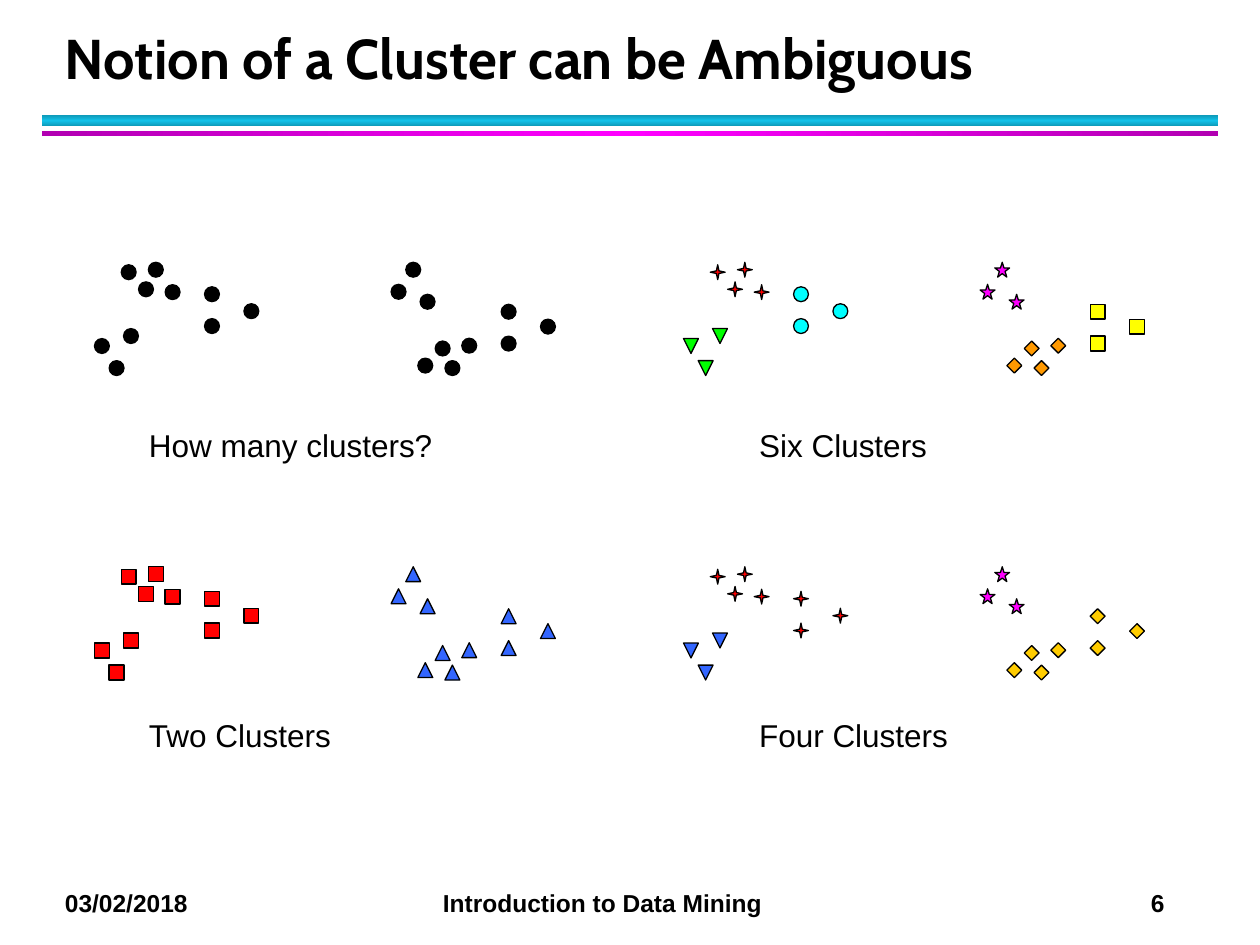
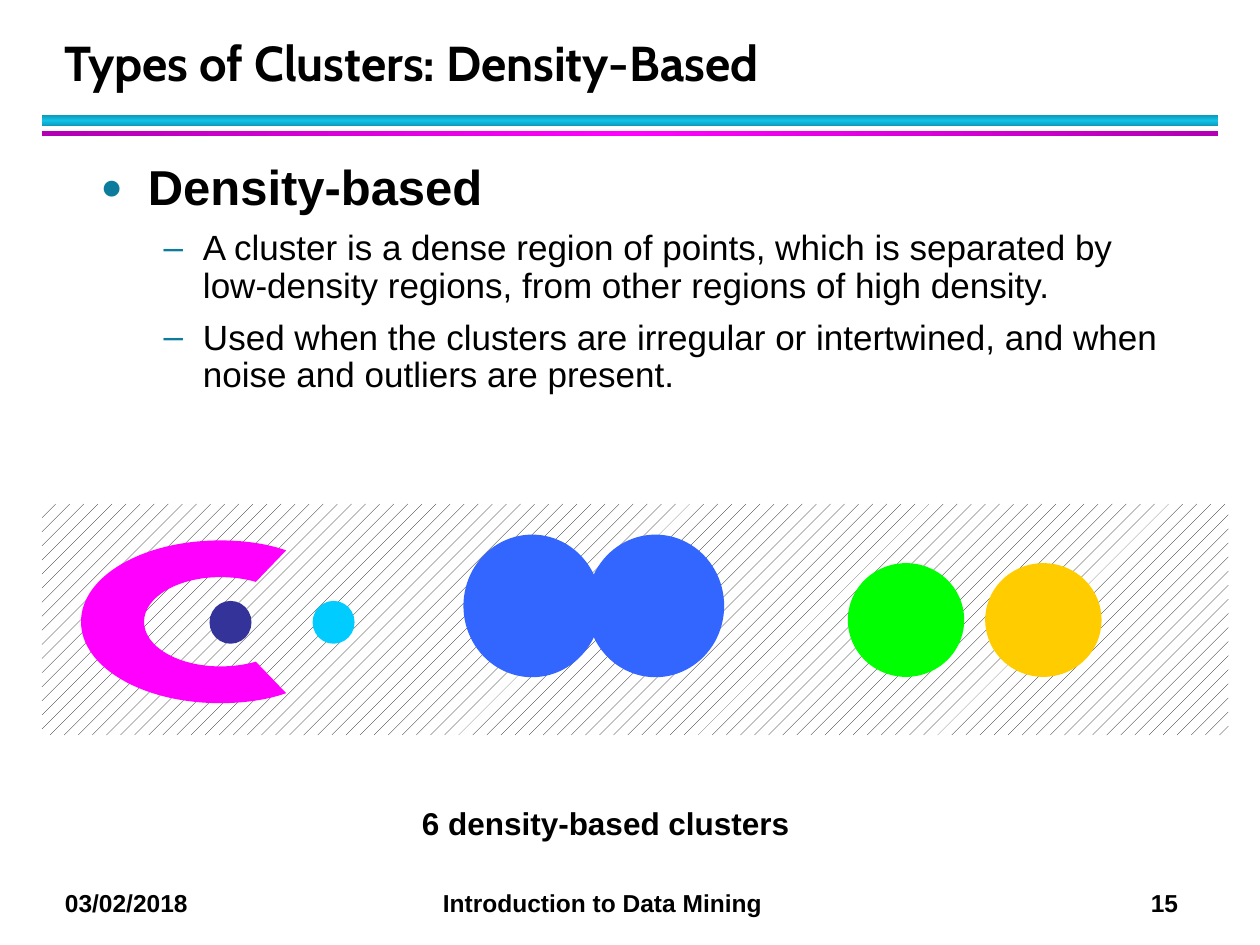
from copy import deepcopy

from lxml.etree import SubElement
from pptx import Presentation
from pptx.dml.color import RGBColor
from pptx.enum.dml import MSO_PATTERN
from pptx.enum.shapes import MSO_SHAPE
from pptx.enum.text import MSO_ANCHOR
from pptx.oxml.ns import qn
from pptx.util import Pt

BLACK = RGBColor(0x00, 0x00, 0x00)
WHITE = RGBColor(0xFF, 0xFF, 0xFF)
TEAL = RGBColor(0x0E, 0x9B, 0xBA)
SKY = RGBColor(0x12, 0xC2, 0xE9)
PLUM = RGBColor(0xB2, 0x00, 0xB2)
PINK = RGBColor(0xFF, 0x00, 0xFF)
RED = RGBColor(0xFF, 0x00, 0x00)
BLUE = RGBColor(0x33, 0x66, 0xFF)
NAVY = RGBColor(0x33, 0x33, 0x99)
AQUA = RGBColor(0x00, 0xCC, 0xFF)
CYAN = RGBColor(0x00, 0xFF, 0xFF)
GREEN = RGBColor(0x00, 0xFF, 0x00)
GOLD = RGBColor(0xFF, 0xCC, 0x00)
ORANGE = RGBColor(0xFF, 0x99, 0x00)
YELLOW = RGBColor(0xFF, 0xFF, 0x00)
BULLET = RGBColor(0x0C, 0x7B, 0x9C)

# Shared frame: bands as (top, height, edge, middle, angle)
DATE, COURSE = "03/02/2018", "Introduction to Data Mining"
TABS = (216, 620.5)
BANDS = [(66, 6, TEAL, SKY, 90), (74.9, 2.9, PLUM, PINK, 0)]

# Marker styles
DOT = (MSO_SHAPE.OVAL, BLACK)
DISC = (MSO_SHAPE.OVAL, CYAN)
BOX = (MSO_SHAPE.RECTANGLE, RED)
LEMON = (MSO_SHAPE.RECTANGLE, YELLOW)
PEAK = (MSO_SHAPE.ISOSCELES_TRIANGLE, BLUE)
DROP = (MSO_SHAPE.FLOWCHART_MERGE, BLUE)
LEAF = (MSO_SHAPE.FLOWCHART_MERGE, GREEN)
SPARK = (MSO_SHAPE.STAR_4_POINT, RED)
STAR = (MSO_SHAPE.STAR_5_POINT, PINK)
AMBER = (MSO_SHAPE.DIAMOND, ORANGE)
GEM = (MSO_SHAPE.DIAMOND, GOLD)

# One cloud of ten points in three clumps; the second is its mirror image
CLOUD = [
    [(40.4, 12.8), (15.3, 1.4), (30.8, 0), (25.2, 11.2)],
    [(16.6, 37.9), (0, 43.6), (8.4, 56.2)],
    [(62.9, 14), (85.4, 23.7), (62.9, 32.2)],
]
MARK, TALL, SHIFT = 8.5, 56.2, 169.5
CELL_X, CELL_Y, STEP_X, STEP_Y = 54, 149.9, 336.6, 174

# Panels: column, row, caption, caption top, styles of left and right clumps
PANELS = [
    (0, 0, "How many clusters?", 240, (DOT, DOT, DOT), (DOT, DOT, DOT)),
    (1, 0, "Six Clusters", 240, (SPARK, LEAF, DISC), (AMBER, STAR, LEMON)),
    (0, 1, "Two Clusters", 405.5, (BOX, BOX, BOX), (PEAK, PEAK, PEAK)),
    (1, 1, "Four Clusters", 405.5, (SPARK, DROP, SPARK), (GEM, STAR, GEM)),
]

# Body lines: text, size, bold, indent, hang, space before, bullet, bullet %
BODY = [
    ("Density-based", 28, True, 27, 27, 5.6, "●", 75),
    ("A cluster is a dense region of points, which is separated by "
     "low-density regions, from other regions of high density.",
     20, False, 58.5, 22.5, 4, "–", 100),
    ("Used when the clusters are irregular or intertwined, and when "
     "noise and outliers are present.", 20, False, 58.5, 22.5, 4, "–", 100),
]

# Dense regions: left, top, width, height, colour
BLOBS = [
    (119.7, 343.4, 24, 24.5, NAVY),
    (178.6, 343.4, 24, 24.5, AQUA),
    (484.5, 321.8, 66.5, 65, GREEN),
    (563, 321.8, 66.5, 65, GOLD),
    (264.8, 305.5, 78.5, 81.5, BLUE),
    (335.3, 305.5, 78.5, 81.5, BLUE),
]

# Open ring: Bezier points from tip to axis, as x and distance from the axis
AXIS = 355.3
INNER = [(146.2, 22.8), (140.2, 24.6), (132.7, 25.5), (125.9, 25.5),
         (101.9, 25.5), (82.3, 14.2), (82.3, 0)]
OUTER = [(163.5, 40.8), (152.2, 44.8), (138.7, 46.5), (125.9, 46.5),
         (81.6, 46.5), (46.3, 26), (46.3, 0)]


def style(par, size, bold=False, font="Arial"):
    for run in par.runs:
        run.font.size, run.font.bold, run.font.name = Pt(size), bold, font
        run.font.color.rgb = BLACK


def write(slide, text, box, size, bold=False, font="Arial"):
    label = slide.shapes.add_textbox(*map(Pt, box))
    frame = label.text_frame
    frame.word_wrap = True
    frame.text = text
    style(frame.paragraphs[0], size, bold, font)
    return frame


def paint(shape, color, edge=None):
    shape.shadow.inherit = False
    shape.fill.solid()
    shape.fill.fore_color.rgb = color
    if edge is None:
        shape.line.fill.background()
    else:
        shape.line.color.rgb = edge
        shape.line.width = Pt(0.75)


def draw(shapes, kind, box, color, edge=None):
    shape = shapes.add_shape(kind, *map(Pt, box))
    paint(shape, color, edge)
    return shape


def blend(shape, edge, mid, angle):
    fill = shape.fill
    fill.gradient()
    fill.gradient_angle = angle
    stops = shape._element.spPr.find(".//" + qn("a:gsLst"))
    stops.insert(1, deepcopy(stops[0]))
    for stop, place, color in zip(fill.gradient_stops, (0, 0.5, 1),
                                  (edge, mid, edge)):
        stop.position = place
        stop.color.rgb = color


def start(deck, title, size, page):
    slide = deck.slides.add_slide(deck.slide_layouts[6])
    # Bands under the title
    for top, high, edge, mid, angle in BANDS:
        band = draw(slide.shapes, MSO_SHAPE.RECTANGLE,
                    (24, top, 672, high), edge)
        blend(band, edge, mid, angle)
    # Footer on tab stops
    foot = write(slide, f"{DATE}\t{COURSE}\t{page}",
                 (30, 504, 672, 24.5), 14, True)
    props = foot.paragraphs[0]._p.get_or_add_pPr()
    tabs = SubElement(props, qn("a:tabLst"))
    for stop in TABS:
        SubElement(tabs, qn("a:tab"), pos=str(Pt(stop)), algn="l")
    # Title
    head = write(slide, title, (30, 12.3, 652, 43.2), size, True, "Cabin")
    head.vertical_anchor = MSO_ANCHOR.BOTTOM
    head.paragraphs[0].line_spacing = Pt(36)
    return slide


def scatter(slide):
    for col, row, text, top, left, right in PANELS:
        x0, y0 = CELL_X + col * STEP_X, CELL_Y + row * STEP_Y
        group = slide.shapes.add_group_shape()
        for clump, plain, flip in zip(CLOUD, left, right):
            for x, y in clump:
                for (kind, color), dx, dy in ((plain, x, y),
                                              (flip, x + SHIFT, TALL - y)):
                    draw(group.shapes, kind, (x0 + dx, y0 + dy, MARK, MARK),
                         color, BLACK)
        write(slide, text, (78 + col * 348.7, top, 180, 29), 18)


def bullet(par, indent, hang, sign, scale):
    props = par._p.get_or_add_pPr()
    props.set("marL", str(Pt(indent)))
    props.set("indent", str(-Pt(hang)))
    tint = SubElement(props, qn("a:buClr"))
    SubElement(tint, qn("a:srgbClr"), val=str(BULLET))
    SubElement(props, qn("a:buSzPct"), val=str(scale * 1000))
    SubElement(props, qn("a:buFont"), typeface="Arial")
    SubElement(props, qn("a:buChar"), char=sign)


def outline(slide):
    label = slide.shapes.add_textbox(Pt(50.4), Pt(89.8), Pt(630), Pt(402.5))
    frame = label.text_frame
    frame.word_wrap = True
    for i, (text, size, bold, indent, hang, gap, sign, scale) in enumerate(BODY):
        par = frame.add_paragraph() if i else frame.paragraphs[0]
        par.text = text
        style(par, size, bold)
        par.level = min(i, 1)
        par.line_spacing = 0.9
        par.space_before, par.space_after = Pt(gap), Pt(4)
        bullet(par, indent, hang, sign, scale)


def mirror(half):
    low = [(Pt(x), Pt(AXIS + gap)) for x, gap in half]
    high = [(Pt(x), Pt(AXIS - gap)) for x, gap in half[-2::-1]]
    return low + high


def bend(lines):
    # Turn each three segments into one Bezier curve
    for i in range(0, len(lines), 3):
        trio = lines[i:i + 3]
        curve = trio[0].getparent().makeelement(qn("a:cubicBezTo"))
        trio[0].addprevious(curve)
        for line in trio:
            curve.append(line[0])
            line.getparent().remove(line)


def arch(slide):
    inner, outer = mirror(INNER), mirror(OUTER)[::-1]
    pen = slide.shapes.build_freeform(*inner[0])
    pen.add_line_segments(inner[1:] + outer, close=True)
    ring = pen.convert_to_shape()
    paint(ring, PINK)
    lines = ring._element.findall(".//" + qn("a:lnTo"))
    turn = len(inner)
    bend(lines[:turn - 1])
    bend(lines[turn:turn + len(outer) - 1])


def regions(slide):
    # Noise background
    noise = draw(slide.shapes, MSO_SHAPE.RECTANGLE, (24, 288, 678, 132), WHITE)
    noise.fill.patterned()
    noise.fill.pattern = MSO_PATTERN.PERCENT_10
    noise.fill.fore_color.rgb = BLACK
    noise.fill.back_color.rgb = WHITE
    # Dense regions
    arch(slide)
    for *box, color in BLOBS:
        draw(slide.shapes, MSO_SHAPE.OVAL, box, color)
    write(slide, "6 density-based clusters", (234, 456, 252, 29), 18, True)


def main():
    deck = Presentation()
    deck.slide_width, deck.slide_height = Pt(720), Pt(540)
    scatter(start(deck, "Notion of a Cluster can be Ambiguous", 32, 6))
    slide = start(deck, "Types of Clusters: Density-Based", 28, 15)
    outline(slide)
    regions(slide)
    deck.save("out.pptx")


if __name__ == "__main__":
    main()
